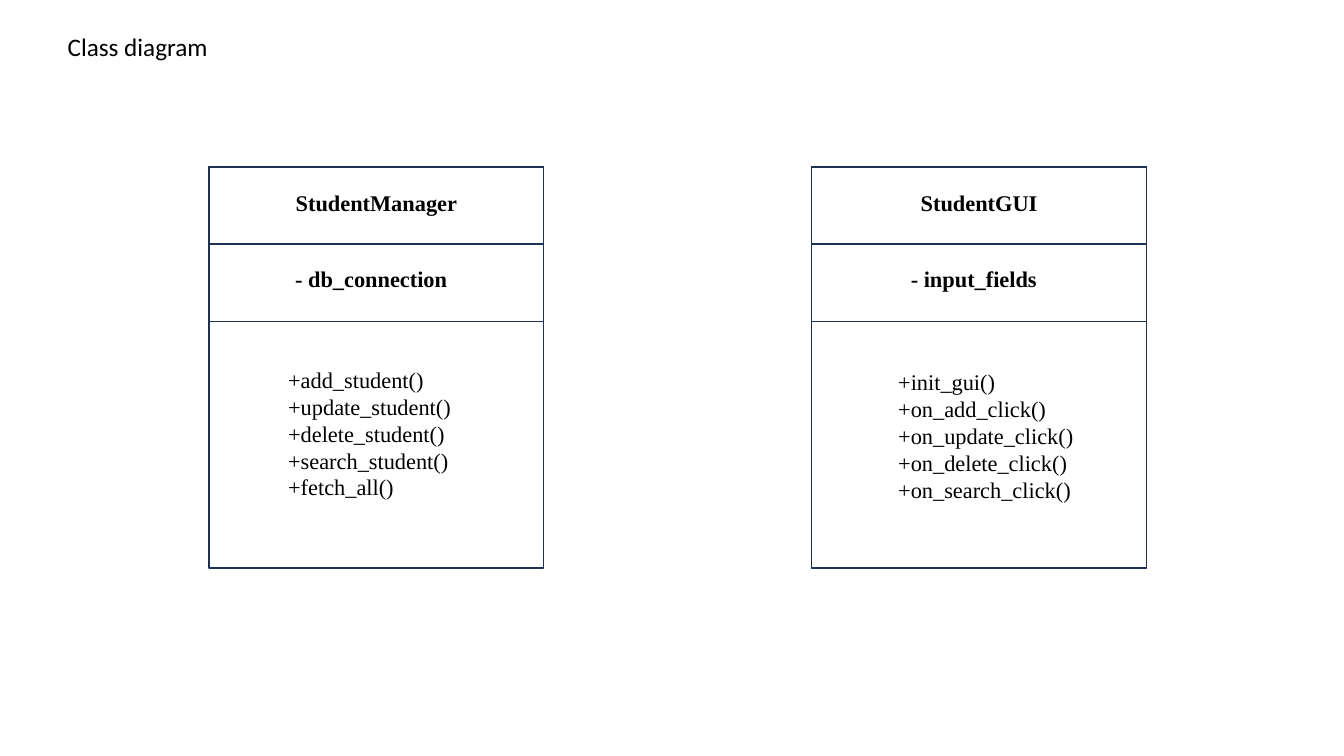
from pptx import Presentation
from pptx import util as u
from pptx.dml.color import RGBColor
from pptx.enum import shapes, text

PX = 9525  # EMU per px, 96 px to the inch
BOX_TOP, BOX_WIDTH, BOX_HEIGHT = 159, 319, 382
ROW_HEIGHT, ROW_STEP = 74, 73
LABEL_DROP, LABEL_HEIGHT = 16, 36

BORDER = "1E3256"
TITLE_FONT = {"name": "Calibri", "size": u.Pt(18), "bold": False}
HEADING_FONT = {"name": "Times New Roman", "size": u.Pt(16), "bold": True}
METHOD_FONT = {**HEADING_FONT, "bold": False}

# methods_at: left and top offsets from the box corner, then width
CLASSES = [
    {"left": 199, "name": "StudentManager", "field": "- db_connection",
     "methods_at": (66, 185, 186),
     "methods": ["+add_student()", "+update_student()", "+delete_student()",
                 "+search_student()", "+fetch_all()"]},
    {"left": 773, "name": "StudentGUI", "field": "- input_fields",
     "methods_at": (73, 187, 200),
     "methods": ["+init_gui()", "+on_add_click()", "+on_update_click()",
                 "+on_delete_click()", "+on_search_click()"]},
]


def color(hex_value):
    return RGBColor.from_string(hex_value)


def emu(*lengths):
    return [u.Emu(length * PX) for length in lengths]


def add_frame(slide, left, top, width, height):
    frame = slide.shapes.add_shape(shapes.MSO_SHAPE.RECTANGLE,
                                   *emu(left, top, width, height))
    frame.shadow.inherit = False
    frame.fill.background()
    frame.line.color.rgb = color(BORDER)
    frame.line.width = u.Pt(1)


def add_label(slide, left, top, width, height, lines, font_format,
              align=text.PP_ALIGN.LEFT):
    label = slide.shapes.add_textbox(*emu(left, top, width, height)).text_frame
    label.word_wrap = True
    label.auto_size = text.MSO_AUTO_SIZE.SHAPE_TO_FIT_TEXT
    for index, line in enumerate(lines):
        paragraph = label.add_paragraph() if index else label.paragraphs[0]
        paragraph.alignment = align
        run = paragraph.add_run()
        run.text = line
        for attribute, value in font_format.items():
            setattr(run.font, attribute, value)
        run.font.color.rgb = color("000000")


def add_class(slide, left, name, field, methods, methods_at):
    # Outline of the whole class
    add_frame(slide, left, BOX_TOP, BOX_WIDTH, BOX_HEIGHT)

    # Name and field compartments
    for row, (heading, shift) in enumerate([(name, 0), (field, -5)]):
        top = BOX_TOP + row * ROW_STEP
        add_frame(slide, left, top, BOX_WIDTH, ROW_HEIGHT)
        add_label(slide, left + shift, top + LABEL_DROP, BOX_WIDTH,
                  LABEL_HEIGHT, [heading], HEADING_FONT,
                  text.PP_ALIGN.CENTER)

    # Methods
    indent, drop, width = methods_at
    add_label(slide, left + indent, BOX_TOP + drop, width, 139, methods,
              METHOD_FONT)


def main():
    deck = Presentation()
    deck.slide_width, deck.slide_height = emu(1280, 720)
    slide = deck.slides.add_slide(deck.slide_layouts[6])

    for class_parts in CLASSES:
        add_class(slide, **class_parts)

    # Title
    add_label(slide, 55, 25, 458, 38, ["Class diagram"], TITLE_FONT)

    deck.save("out.pptx")


if __name__ == "__main__":
    main()
